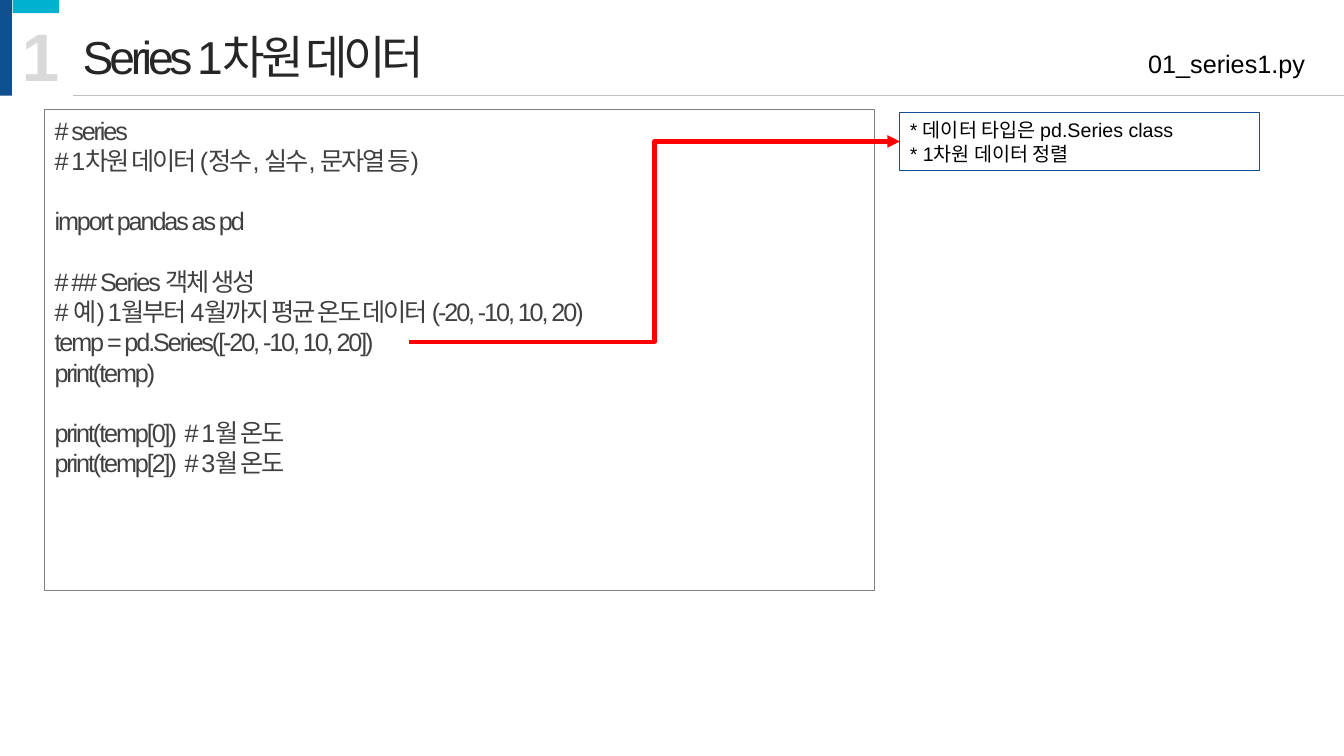
from dataclasses import dataclass

from lxml.etree import SubElement
from pptx import Presentation
from pptx.dml.color import RGBColor
from pptx.enum.shapes import MSO_CONNECTOR as Connector, MSO_SHAPE as Shape
from pptx.enum.text import MSO_ANCHOR as Anchor, MSO_AUTO_SIZE as AutoSize, PP_ALIGN as Align
from pptx.oxml.ns import qn
from pptx.util import Cm, Pt


@dataclass(frozen=True)
class Theme:
    """Colours, font and type sizes of the slide."""
    font: str = "Arial"
    navy: str = "0F518E"
    cyan: str = "01B1D0"
    red: str = "FF0000"
    black: str = "000000"
    title_ink: str = "262626"
    code_ink: str = "404040"
    frame: str = "808080"
    rule: str = "BFBFBF"
    number_ink: str = "D9D9D9"
    title_size: float = 33
    number_size: float = 48
    code_size: float = 18
    code_line: float = 21.6
    note_size: float = 14


THEME = Theme()
CODE_BLOCKS = [
    ["# series", "# 1차원 데이터 (정수, 실수, 문자열 등)"],
    ["import pandas as pd"],
    ["# ## Series 객체 생성",
     "# 예) 1월부터 4월까지 평균 온도 데이터 (-20, -10, 10, 20)",
     "temp = pd.Series([-20, -10, 10, 20])",
     "print(temp)"],
    ["print(temp[0])  # 1월 온도", "print(temp[2])  # 3월 온도"],
]


def place(shape, left, top, width, height):
    """Move and size a shape, in centimetres."""
    shape.left, shape.top = Cm(left), Cm(top)
    shape.width, shape.height = Cm(width), Cm(height)


def write(shape, text, size, color, align=Align.LEFT, anchor=Anchor.TOP,
          bold=False, tracking=0, wrap=True):
    """Fill a shape with text and format every run."""
    frame = shape.text_frame
    frame.text = text
    frame.word_wrap = wrap
    frame.auto_size = AutoSize.NONE
    frame.vertical_anchor = anchor
    for paragraph in frame.paragraphs:
        paragraph.alignment = align
        for run in paragraph.runs:
            font = run.font
            font.name, font.size, font.bold = THEME.font, Pt(size), bold
            font.color.rgb = RGBColor.from_string(color)
            if tracking:
                run._r.get_or_add_rPr().set("spc", str(int(tracking * 100)))


def add_label(slide, box, text, size, color, **style):
    """Add a text box."""
    label = slide.shapes.add_textbox(*map(Cm, box))
    write(label, text, size, color, **style)


def add_box(slide, box, fill=None, line=None):
    """Add a rectangle with an optional fill and outline."""
    shape = slide.shapes.add_shape(Shape.RECTANGLE, *map(Cm, box))
    shape.shadow.inherit = False
    if fill:
        shape.fill.solid()
        shape.fill.fore_color.rgb = RGBColor.from_string(fill)
    else:
        shape.fill.background()
    if line:
        shape.line.color.rgb = RGBColor.from_string(line)
        shape.line.width = Pt(0.75)
    else:
        shape.line.fill.background()
    return shape


def add_line(slide, kind, start, end, color, width):
    """Add a connector without a shadow."""
    line = slide.shapes.add_connector(kind, *map(Cm, start + end))
    line.line.color.rgb = RGBColor.from_string(color)
    line.line.width = Pt(width)
    SubElement(line._element.spPr, qn("a:effectLst"))
    return line


def add_arrow(slide, start, target):
    """Lead a bent arrow to the left side of a rectangle."""
    arrow = add_line(slide, Connector.ELBOW, start, (22.68, 3.56), THEME.red, 3)
    arrow.end_connect(target, 1)
    SubElement(arrow.line._get_or_add_ln(), qn("a:tailEnd"), type="triangle")


def fill_code(body):
    """Set the code listing in the body placeholder, one block after another."""
    place(body, 1.12, 2.77, 20.93, 12.12)
    body.line.color.rgb = RGBColor.from_string(THEME.frame)
    body.line.width = Pt(0.75)
    lines = [line for block in CODE_BLOCKS for line in block]
    write(body, "\n".join(lines), THEME.code_size, THEME.code_ink, tracking=-1.5)
    paragraphs = iter(body.text_frame.paragraphs)
    for block_index, block in enumerate(CODE_BLOCKS):
        for line_index in range(len(block)):
            paragraph = next(paragraphs)
            properties = paragraph._p.get_or_add_pPr()
            properties.set("marL", "0")
            properties.set("indent", "0")
            SubElement(properties, qn("a:buNone"))
            opens_block = block_index > 0 and line_index == 0
            paragraph.space_before = Pt(THEME.code_line if opens_block else 0)
            paragraph.line_spacing = Pt(THEME.code_line)


def main():
    """Build the slide and save it."""
    presentation = Presentation()
    presentation.slide_width, presentation.slide_height = Cm(33.87), Cm(19.05)
    slide = presentation.slides.add_slide(presentation.slide_layouts[1])
    title, body = slide.placeholders

    add_box(slide, (0, 0, 0.3, 2.41), fill=THEME.navy)
    add_box(slide, (0.32, 0, 1.17, 0.33), fill=THEME.cyan)
    place(title, 1.83, 0.56, 30.91, 1.7)
    write(title, "Series 1차원 데이터", THEME.title_size, THEME.title_ink,
          anchor=Anchor.MIDDLE, tracking=-3)
    add_label(slide, (0.3, 0.23, 1.47, 2.31), "1", THEME.number_size,
              THEME.number_ink, bold=True, wrap=False)
    add_line(slide, Connector.STRAIGHT, (1.83, 2.41), (33.87, 2.41), THEME.rule, 0.5)
    add_label(slide, (22.68, 1.09, 10.46, 1.02), "01_series1.py", THEME.code_size,
              THEME.black, align=Align.RIGHT)

    fill_code(body)
    note = add_box(slide, (22.68, 2.84, 9.07, 1.45), line=THEME.navy)
    write(note, "* 데이터 타입은 pd.Series class\n* 1차원 데이터 정렬",
          THEME.note_size, THEME.black, anchor=Anchor.MIDDLE)
    add_arrow(slide, (10.31, 8.61), note)
    presentation.save("out.pptx")


if __name__ == "__main__":
    main()
